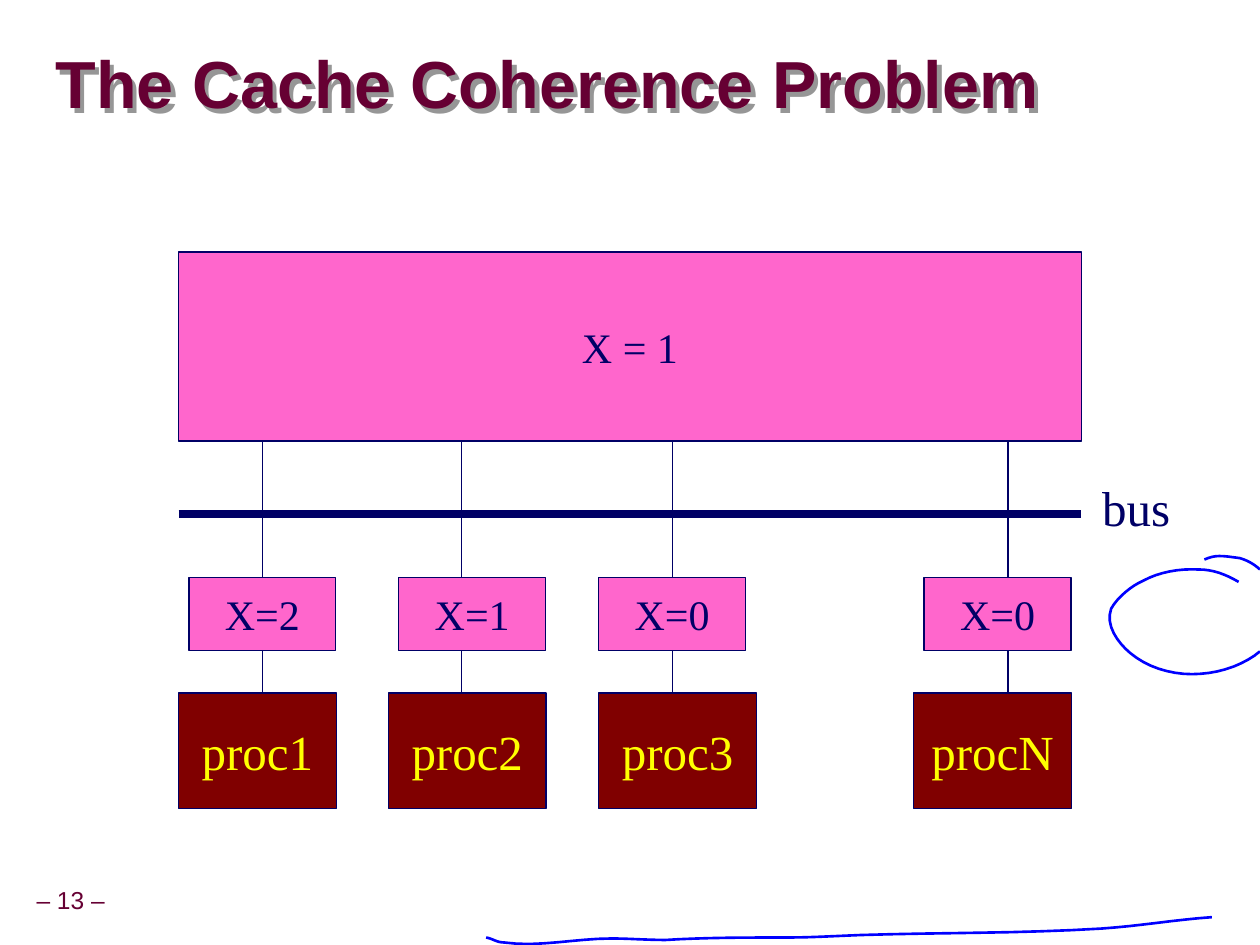
from lxml import etree
from pptx import Presentation
from pptx.dml.color import RGBColor
from pptx.enum.shapes import MSO_CONNECTOR, MSO_SHAPE
from pptx.enum.text import MSO_ANCHOR, PP_ALIGN
from pptx.oxml.ns import qn
from pptx.util import Cm, Pt

RECT, LINE = MSO_SHAPE.RECTANGLE, MSO_CONNECTOR.STRAIGHT
MID, TOP = MSO_ANCHOR.MIDDLE, MSO_ANCHOR.TOP
LEFT, CENTER = PP_ALIGN.LEFT, PP_ALIGN.CENTER

COLORS = {"wine": "660033", "navy": "000066", "pink": "FF66CC", "brown": "800000",
          "yellow": "FFFF00", "ink": "0000FF", "gray": "969696"}
SANS, SERIF = "Arial", "Times New Roman"

# Content: processor, its left; cache value, its left; wire position (cm)
NODES = [
    ("proc1", 3.6, "X=2", 3.81, 5.29),
    ("proc2", 7.83, "X=1", 8.04, 9.31),
    ("proc3", 12.07, "X=0", 12.07, 13.55),
    ("procN", 18.42, "X=0", 18.63, 20.32),
]
MEMORY = (3.6, 5.08, 18.2, 3.81)
CACHE_Y, CACHE_W, CACHE_H = 11.64, 2.96, 1.48
PROC_Y, PROC_W, PROC_H = 13.97, 3.18, 2.33
BUS_Y = 10.37

# Pen strokes: a start point, then Bezier curves of three points each (cm)
STROKES = [
    [(24.97, 11.73),
     (24.71, 11.58), (24.46, 11.48), (24.16, 11.48),
     (23.77, 11.46), (23.37, 11.53), (23.04, 11.71),
     (22.81, 11.81), (22.53, 12.04), (22.4, 12.27),
     (22.28, 12.6), (22.53, 12.95), (22.78, 13.16),
     (23.11, 13.44), (23.57, 13.59), (24.03, 13.59),
     (24.49, 13.59), (24.94, 13.46), (25.3, 13.21),
     (25.33, 13.18), (25.37, 13.16), (25.4, 13.13)],
    [(25.4, 11.48),
     (25.27, 11.36), (25.13, 11.29), (24.99, 11.25),
     (24.61, 11.2), (24.51, 11.18), (24.28, 11.28)],
    [(9.8, 18.9),
     (9.93, 18.92), (10.01, 19), (10.16, 19),
     (10.85, 19.1), (11.61, 18.92), (12.32, 18.92),
     (12.67, 18.92), (13.06, 18.95), (13.41, 18.95),
     (14.22, 18.9), (15.04, 18.9), (15.88, 18.9),
     (16.36, 18.9), (16.84, 18.87), (17.35, 18.85),
     (18.95, 18.8), (20.57, 18.82), (22.2, 18.72),
     (22.96, 18.67), (23.7, 18.54), (24.43, 18.49)],
]


def rgb(name):
    return RGBColor.from_string(COLORS[name])


def write(shape, text, size, font, color, align=CENTER, anchor=MID, bold=False):
    frame = shape.text_frame
    frame.word_wrap = False
    frame.vertical_anchor = anchor
    para = frame.paragraphs[0]
    para.alignment = align
    run = para.add_run()
    run.text = text
    run.font.size, run.font.name, run.font.bold = Pt(size), font, bold
    run.font.color.rgb = rgb(color)
    return frame


def label(box, *style, **more):
    return write(slide.shapes.add_textbox(*map(Cm, box)), *style, **more)


def block(box, fill, text, size, color):
    shape = slide.shapes.add_shape(RECT, *map(Cm, box))
    shape.shadow.inherit = False
    shape.fill.solid()
    shape.fill.fore_color.rgb = rgb(fill)
    shape.line.color.rgb = rgb("navy")
    shape.line.width = Pt(0.75)
    write(shape, text, size, SERIF, color)
    return shape


def wire(x1, y1, x2, y2, width=0.75):
    line = slide.shapes.add_connector(LINE, *map(Cm, (x1, y1, x2, y2)))
    line.line.color.rgb = rgb("navy")
    line.line.width = Pt(width)
    etree.SubElement(line._element.spPr, qn("a:effectLst"))
    return line


def curve(nodes, steps=8):
    points = nodes[:1]
    for i in range(0, len(nodes) - 1, 3):
        a, b, c, d = nodes[i:i + 4]
        for k in range(1, steps + 1):
            t = k / steps
            u = 1 - t
            points.append(tuple(
                u**3 * p + 3 * u * u * t * q + 3 * u * t * t * r + t**3 * s
                for p, q, r, s in zip(a, b, c, d)))
    return [(Cm(x), Cm(y)) for x, y in points]


deck = Presentation()
deck.slide_width, deck.slide_height = Cm(25.4), Cm(19.05)
slide = deck.slides.add_slide(deck.slide_layouts[6])

# Page number and title
page = label((-0.24, 17.78, 3.33, 0.79), "– 13 –", 14, SANS, "wine")
page.paragraphs[0].line_spacing = 0.9

title = slide.shapes.add_textbox(*map(Cm, (1.12, 0.69, 24.2, 2.16)))
frame = write(title, "The Cache Coherence Problem", 38, SANS, "wine", LEFT, bold=True)
frame.word_wrap = True
frame.margin_left = frame.margin_right = frame.margin_top = frame.margin_bottom = 0
frame.paragraphs[0].line_spacing = 0.87
effect = etree.SubElement(title._element.spPr, qn("a:effectLst"))
shade = etree.SubElement(effect, qn("a:outerShdw"), blurRad="0", dist="45720",
                         dir="2700000", algn="ctr", rotWithShape="0")
etree.SubElement(shade, qn("a:srgbClr"), val=COLORS["gray"])

# Memory, then each processor with its cache and wires
block(MEMORY, "pink", "X = 1", 24, "navy")
left, top, width, height = MEMORY
for name, proc_x, value, cache_x, wire_x in NODES:
    block((proc_x, PROC_Y, PROC_W, PROC_H), "brown", name, 28, "yellow")
    cache = block((cache_x, CACHE_Y, CACHE_W, CACHE_H), "pink", value, 24, "navy")
    upper = wire(wire_x, top + height, wire_x, CACHE_Y)
    lower = wire(wire_x, CACHE_Y + CACHE_H, wire_x, PROC_Y)
    if abs(cache_x + CACHE_W / 2 - wire_x) < 0.02:
        upper.end_connect(cache, 0)
        lower.begin_connect(cache, 2)

# Bus
wire(left, BUS_Y, left + width, BUS_Y, 4.5)
label((21.97, 9.5, 1.88, 1.45), "bus", 28, SERIF, "navy", LEFT, TOP)

# Pen strokes
for nodes in STROKES:
    start, *rest = curve(nodes)
    pen = slide.shapes.build_freeform(*start)
    pen.add_line_segments(rest, close=False)
    stroke = pen.convert_to_shape()
    stroke.shadow.inherit = False
    stroke.fill.background()
    stroke.line.color.rgb = rgb("ink")
    stroke.line.width = Pt(1.5)

deck.save("out.pptx")
